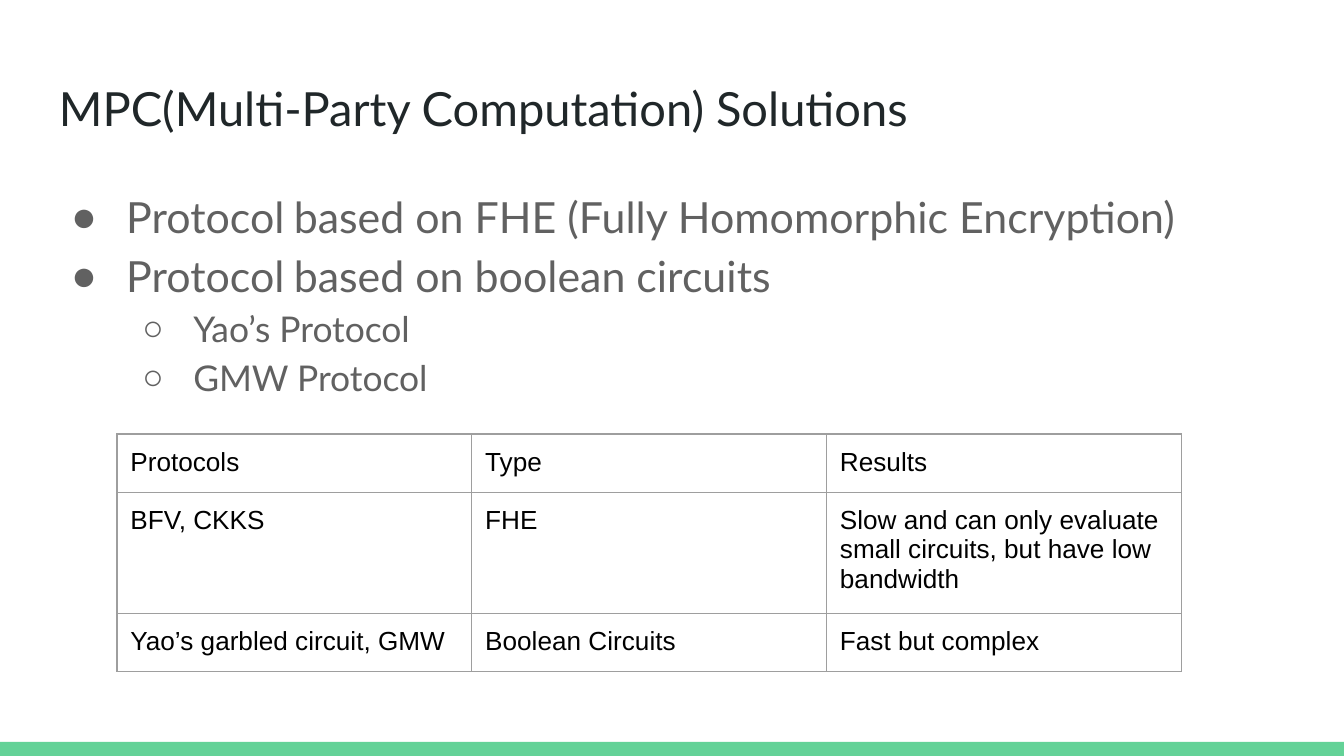
from dataclasses import dataclass

from lxml.etree import SubElement
from pptx import Presentation
from pptx.dml.color import RGBColor
from pptx.enum.shapes import MSO_SHAPE
from pptx.enum.text import MSO_ANCHOR
from pptx.oxml import parse_xml
from pptx.oxml.ns import nsdecls, qn
from pptx.util import Inches, Pt


@dataclass(frozen=True)
class Theme:
    heading_font: str = "Lato"
    table_font: str = "Arial"
    bullet_font: str = "Arial"
    title_color: str = "202729"
    body_color: str = "616161"
    table_color: str = "000000"
    border_color: str = "9E9E9E"
    accent_color: str = "63D297"
    title_size: float = 25.2
    body_size: float = 23
    detail_size: float = 19
    table_size: float = 14
    border_width: float = 0.75


THEME = Theme()
INSET = Inches(0.1)

BULLETS = [
    (0, [("Protocol", THEME.body_size), (" ", THEME.detail_size),
         ("based on FHE (Fully Homomorphic Encryption)", THEME.body_size)]),
    (0, [("Protocol", THEME.body_size), (" ", THEME.detail_size),
         ("based on boolean circuits", THEME.body_size)]),
    (1, [("Yao’s Protocol", THEME.detail_size)]),
    (1, [("GMW Protocol", THEME.detail_size)]),
]
BULLET_STYLES = [("●", 0.5, -0.41), ("○", 1, -0.38)]

PROTOCOL_ROWS = [
    ("Protocols", "Type", "Results"),
    ("BFV, CKKS", "FHE",
     "Slow and can only evaluate small circuits, but have low bandwidth"),
    ("Yao’s garbled circuit, GMW", "Boolean Circuits", "Fast but complex"),
]


def add_run(paragraph, text, font_name, size, color):
    run = paragraph.add_run()
    run.text = text
    run.font.name = font_name
    run.font.size = Pt(size)
    run.font.color.rgb = RGBColor.from_string(color)


def set_insets(target):
    target.margin_left = target.margin_right = INSET
    target.margin_top = target.margin_bottom = INSET


def add_text_frame(slide, left, top, width, height):
    box = slide.shapes.add_textbox(
        Inches(left), Inches(top), Inches(width), Inches(height))
    frame = box.text_frame
    frame.word_wrap = True
    frame.vertical_anchor = MSO_ANCHOR.TOP
    set_insets(frame)
    return frame


def add_footer_bar(slide):
    bar = slide.shapes.add_shape(
        MSO_SHAPE.RECTANGLE, 0, Inches(5.52), Inches(10), Inches(0.11))
    bar.shadow.inherit = False
    bar.fill.solid()
    bar.fill.fore_color.rgb = RGBColor.from_string(THEME.accent_color)
    bar.line.fill.background()


def add_title(slide, text):
    frame = add_text_frame(slide, 0.34, 0.49, 9.32, 0.63)
    add_run(frame.paragraphs[0], text, THEME.heading_font,
            THEME.title_size, THEME.title_color)


def format_bullet(paragraph, level):
    character, margin, indent = BULLET_STYLES[level]
    paragraph.level = level
    paragraph.line_spacing = 1.15
    properties = paragraph._p.get_or_add_pPr()
    properties.set("marL", str(Inches(margin)))
    properties.set("indent", str(Inches(indent)))
    color = SubElement(properties, qn("a:buClr"))
    SubElement(color, qn("a:srgbClr"), val=THEME.body_color)
    SubElement(properties, qn("a:buFont"), typeface=THEME.bullet_font)
    SubElement(properties, qn("a:buChar"), char=character)


def add_bullets(slide, bullets):
    frame = add_text_frame(slide, 0.34, 1.26, 9.32, 3.74)
    for index, (level, runs) in enumerate(bullets):
        paragraph = frame.add_paragraph() if index else frame.paragraphs[0]
        format_bullet(paragraph, level)
        for text, size in runs:
            add_run(paragraph, text, THEME.heading_font, size, THEME.body_color)


def set_borders(cell):
    properties = cell._tc.get_or_add_tcPr()
    for position, side in enumerate(("lnL", "lnR", "lnT", "lnB")):
        border = parse_xml(
            f'<a:{side} {nsdecls("a")} w="{Pt(THEME.border_width)}">'
            f'<a:solidFill><a:srgbClr val="{THEME.border_color}"/></a:solidFill>'
            f'</a:{side}>')
        properties.insert(position, border)


def fill_cell(cell, text):
    cell.fill.background()
    set_insets(cell)
    set_borders(cell)
    paragraph = cell.text_frame.paragraphs[0]
    paragraph.line_spacing = 1.0
    paragraph.space_before = paragraph.space_after = Pt(0)
    add_run(paragraph, text, THEME.table_font,
            THEME.table_size, THEME.table_color)


def add_protocol_table(slide, rows):
    row_height, column_width = Inches(0.42), Inches(2.64)
    column_count = len(rows[0])
    table = slide.shapes.add_table(
        len(rows), column_count, Inches(0.87), Inches(3.23),
        column_width * column_count, row_height * len(rows)).table
    table.first_row = table.horz_banding = False
    for row_index, texts in enumerate(rows):
        for column_index, text in enumerate(texts):
            fill_cell(table.cell(row_index, column_index), text)


def main():
    presentation = Presentation()
    presentation.slide_width = Inches(10)
    presentation.slide_height = presentation.slide_width * 9 // 16
    slide = presentation.slides.add_slide(presentation.slide_layouts[6])
    add_footer_bar(slide)
    add_title(slide, "MPC(Multi-Party Computation) Solutions")
    add_bullets(slide, BULLETS)
    add_protocol_table(slide, PROTOCOL_ROWS)
    presentation.save("out.pptx")


if __name__ == "__main__":
    main()
